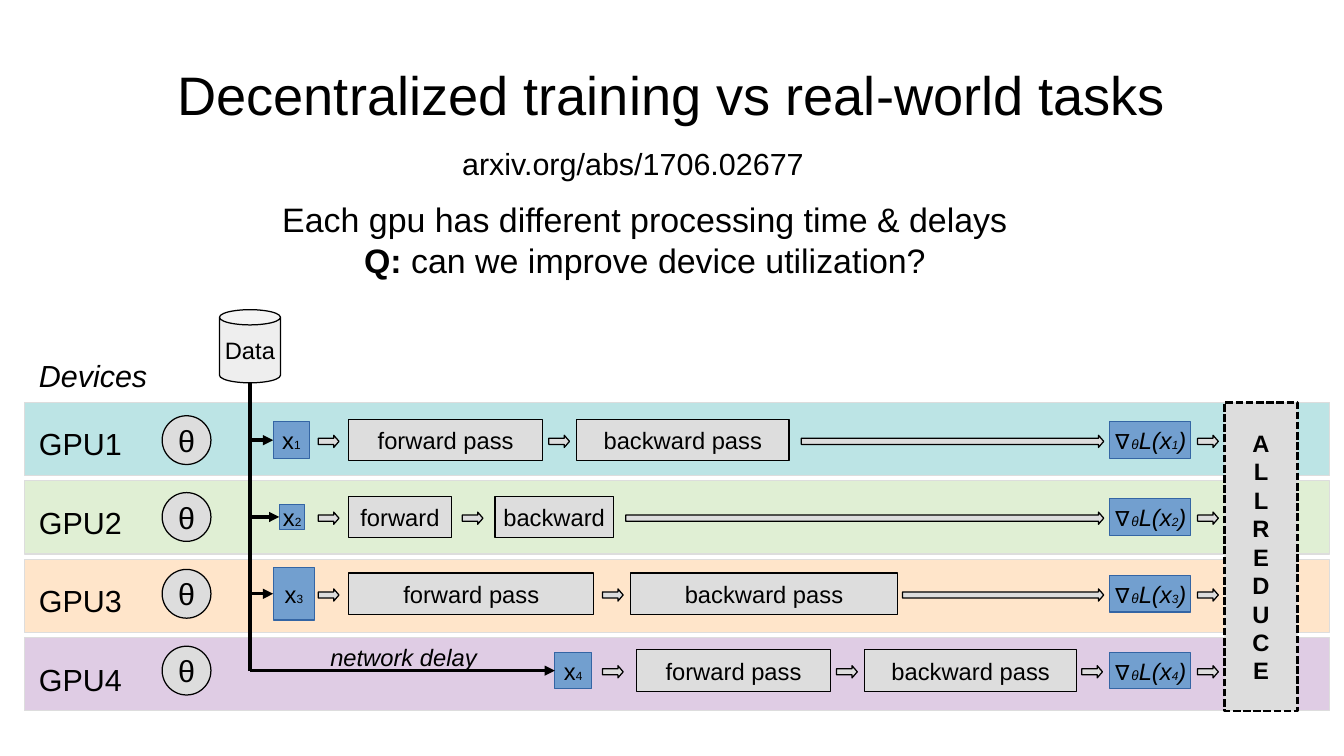
"""Build a slide on device utilization in decentralized training."""
from lxml import etree
from pptx import Presentation
from pptx.dml.color import RGBColor
from pptx.enum.dml import MSO_LINE
from pptx.enum.shapes import MSO_CONNECTOR, MSO_SHAPE
from pptx.enum.text import MSO_ANCHOR, PP_ALIGN
from pptx.oxml.ns import qn
from pptx.util import Inches, Pt

RECTANGLE, OVAL, CAN, ARROW = (
    MSO_SHAPE.RECTANGLE, MSO_SHAPE.OVAL, MSO_SHAPE.CAN, MSO_SHAPE.RIGHT_ARROW)
LEFT, CENTER = PP_ALIGN.LEFT, PP_ALIGN.CENTER
TOP, MIDDLE = MSO_ANCHOR.TOP, MSO_ANCHOR.MIDDLE
STRAIGHT = MSO_CONNECTOR.STRAIGHT
DASHED = MSO_LINE.SQUARE_DOT
BLACK, GRAY, BLUE, NAVY = "000000", "DDDDDD", "729FCF", "3465A4"

LANE_TOP, LANE_HEIGHT, LANES_HEIGHT = 3.3, 0.6, 2.53
LANE_PITCH = (LANES_HEIGHT - LANE_HEIGHT) / 3
ROW_CENTER, ROW_PITCH = 3.61, 0.63
STEP = 0.17
TRUNK = 2.05

lanes = [
    {"fill": "BCE4E5", "sample": (2.24, 0.3, 0.3),
     "passes": [("forward pass", 2.86, 1.59), ("backward pass", 4.73, 1.74)],
     "arrows": [(2.61, STEP), (4.5, STEP), (6.57, 2.48)]},
    {"fill": "E0EFD4", "sample": (2.29, 0.21, 0.21),
     "passes": [("forward", 2.86, 0.84), ("backward", 4.06, 0.97)],
     "arrows": [(2.61, STEP), (3.79, STEP), (5.13, 3.92)]},
    {"fill": "FFE5CA", "sample": (2.24, 0.34, 0.43),
     "passes": [("forward pass", 2.86, 2.01), ("backward pass", 5.17, 2.19)],
     "arrows": [(2.61, STEP), (4.94, STEP), (7.4, 1.65)]},
    {"fill": "DFCCE4", "sample": (4.55, 0.3, 0.3),
     "passes": [("forward pass", 5.22, 1.59), ("backward pass", 7.09, 1.74)],
     "arrows": [(4.94, STEP), (6.86, STEP), (8.87, STEP)]},
]

presentation = Presentation()
presentation.slide_width = Inches(11.02)
presentation.slide_height = Inches(6.2)
slide = presentation.slides.add_slide(presentation.slide_layouts[5])
shapes = slide.shapes


def write(shape, paragraphs, alignment=CENTER, anchor=MIDDLE, wrap=False):
    """Fill a shape with paragraphs, each a list of (text, size, style) runs."""
    frame = shape.text_frame
    frame.word_wrap = wrap
    frame.vertical_anchor = anchor
    for number, runs in enumerate(paragraphs):
        paragraph = frame.add_paragraph() if number else frame.paragraphs[0]
        paragraph.alignment = alignment
        for text, size, style in runs:
            run = paragraph.add_run()
            run.text = text
            run.font.name = "Arial"
            run.font.size = Pt(size)
            run.font.bold = style == "bold"
            run.font.italic = style == "italic"
            run.font.color.rgb = RGBColor.from_string(BLACK)


def add_block(kind, left, top, width, height, fill=GRAY, line=BLACK):
    """Add a flat filled shape with a hairline outline."""
    shape = shapes.add_shape(
        kind, Inches(left), Inches(top), Inches(width), Inches(height))
    shape.shadow.inherit = False
    shape.fill.solid()
    shape.fill.fore_color.rgb = RGBColor.from_string(fill)
    shape.line.color.rgb = RGBColor.from_string(line)
    shape.line.width = Pt(0)
    return shape


title = shapes.title
title.left, title.top = Inches(0.55), Inches(0.25)
title.width, title.height = Inches(9.92), Inches(1.04)
title_frame = title.text_frame
title_frame.margin_left = title_frame.margin_right = 0
title_frame.margin_top = title_frame.margin_bottom = 0
write(title, [[("Decentralized training vs real-world tasks", 32, "")]], wrap=True)

for index, lane in enumerate(lanes):
    add_block(RECTANGLE, 0.2, LANE_TOP + index * LANE_PITCH, 10.7, LANE_HEIGHT,
              lane["fill"], GRAY)

labels = [
    (3.32, 1.14, 3.74, 0.38, CENTER, [[("arxiv.org/abs/1706.02677", 18, "")]]),
    (1.47, 1.58, 7.64, 0.72, CENTER, [
        [("Each gpu has different processing time & delays", 20, "")],
        [("Q: ", 20, "bold"), ("can we improve device utilization?", 20, "")]]),
    (0.22, 2.88, 1.28, 0.38, LEFT, [[("Devices", 18, "italic")]]),
    (2.61, 5.22, 1.9, 0.54, LEFT, [[("network delay", 14, "italic")]]),
]
for index in range(len(lanes)):
    labels.append((0.22, LANE_TOP + 0.14 + index * LANE_PITCH, 1.28, 0.38, LEFT,
                   [[(f"GPU{index + 1}", 18, "")]]))
for left, top, width, height, alignment, paragraphs in labels:
    label = shapes.add_textbox(
        Inches(left), Inches(top), Inches(width), Inches(height))
    write(label, paragraphs, alignment, TOP, True)

connectors = []
for index, lane in enumerate(lanes):
    center = ROW_CENTER + index * ROW_PITCH
    number = str(index + 1)

    theta = add_block(OVAL, 1.33, center - 0.2, 0.4, 0.4)
    write(theta, [[("θ", 18, "")]])

    left, width, height = lane["sample"]
    sample = add_block(RECTANGLE, left, center - height / 2, width, height, BLUE, NAVY)
    write(sample, [[("x", 14, ""), (number, 7, "")]])

    branch = shapes.add_connector(
        STRAIGHT, Inches(TRUNK), Inches(center), Inches(left), Inches(center))
    branch.end_connect(sample, 1)
    connectors.append(branch)

    for text, left, width in lane["passes"]:
        step = add_block(RECTANGLE, left, center - 0.17, width, 0.34)
        write(step, [[(text, 14, "")]])

    gradient = add_block(RECTANGLE, 9.1, center - 0.15, 0.66, 0.3, BLUE, NAVY)
    write(gradient, [[("∇", 14, "italic"), ("θ", 8, "italic"), ("L(x", 14, "italic"),
                      (number, 7, "italic"), (")", 14, "italic")]])

    for left, width in lane["arrows"] + [(9.82, STEP)]:
        arrow = add_block(ARROW, left, center - 0.04, width, 0.1)
        arrow.adjustments[0] = 0.5
        arrow.adjustments[1] = 0.43

for branch in connectors:
    outline = branch.line._get_or_add_ln()
    etree.SubElement(outline, qn("a:tailEnd"), type="triangle")

trunk_bottom = ROW_CENTER + 3 * ROW_PITCH
connectors.append(shapes.add_connector(
    STRAIGHT, Inches(TRUNK), Inches(3.14), Inches(TRUNK), Inches(trunk_bottom)))
for connector in connectors:
    connector.line.color.rgb = RGBColor.from_string(BLACK)
    connector.line.width = Pt(0)
    etree.SubElement(connector._element.spPr, qn("a:effectLst"))

data = add_block(CAN, TRUNK - 0.25, 2.54, 0.5, 0.6, "EEEEEE")
data.adjustments[0] = 0.25
write(data, [[("Data", 14, "")]])

allreduce = add_block(RECTANGLE, 10.04, LANE_TOP, 0.6, LANES_HEIGHT)
allreduce.line.width = Pt(1.5)
allreduce.line.dash_style = DASHED
write(allreduce, [[(letter, 14, "bold")] for letter in "ALLREDUCE"])

presentation.save("out.pptx")
